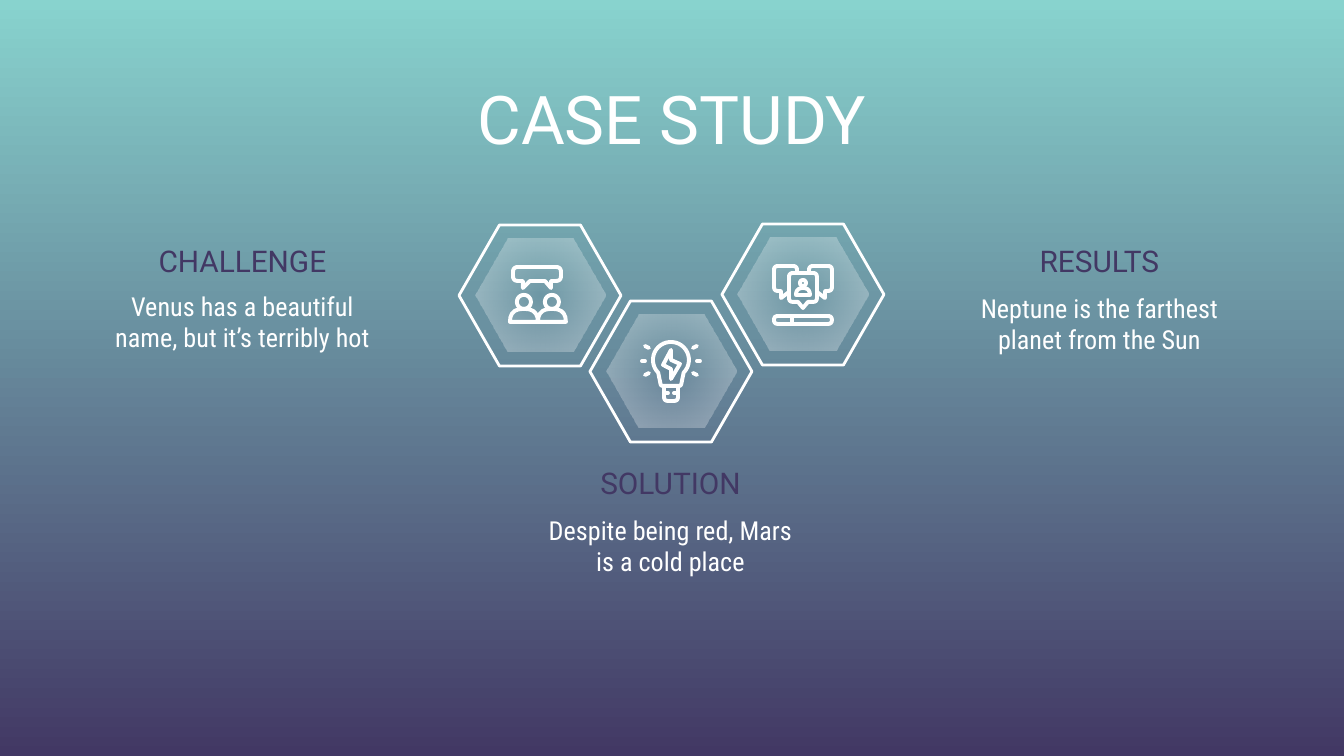
import math
from lxml import etree
from pptx import Presentation, util as u
from pptx.dml.color import RGBColor
from pptx.enum import shapes, text
from pptx.oxml.ns import qn

W, H = 1344, 756
SCALE = 9144000 / W
COLORS = {"teal": "88D3CE", "purple": "423864", "white": "FFFFFF"}
HEX_W, HEX_H = 162, 141


def px(n):
    return u.Emu(round(n * SCALE))


def rgb(name):
    return RGBColor.from_string(COLORS[name])


def stroke(sp, width):
    """White line with round caps and joins."""
    sp.line.color.rgb = rgb("white")
    sp.line.width = u.Pt(width)
    spPr = sp._element.spPr
    ln = spPr.find(qn("a:ln"))
    ln.set("cap", "rnd")
    etree.SubElement(ln, qn("a:round"))
    if spPr.find(qn("a:effectLst")) is None:
        etree.SubElement(spPr, qn("a:effectLst"))


def freeform(s, box, contours, close=True):
    """One shape made of one or more contours."""
    builder = None
    for points in contours:
        pts = [(px(a), px(b)) for a, b in points]
        if builder is None:
            builder = s.shapes.build_freeform(*pts[0], scale=1.0)
        else:
            builder.move_to(*pts[0])
        builder.add_line_segments(pts[1:], close=close)
    sp = builder.convert_to_shape(px(box[0]), px(box[1]))
    sp.shadow.inherit = False
    sp.fill.background()
    return sp


def rounded(corners):
    """Turn (x, y, radius) corners into points along the rounded path."""
    points = []
    for i, (x, y, r) in enumerate(corners):
        if not r:
            points.append((x, y))
            continue
        ends = []
        for nx, ny, _ in (corners[i - 1], corners[(i + 1) % len(corners)]):
            k = r / math.dist((x, y), (nx, ny))
            ends.append((x + k * (nx - x), y + k * (ny - y)))
        (ax, ay), (bx, by) = ends
        for t in (0, .2, .4, .6, .8, 1):
            a, m, b = (1 - t) ** 2, 2 * t * (1 - t), t * t
            points.append((a * ax + m * x + b * bx, a * ay + m * y + b * by))
    return points


def outline(s, box, *contours, close=True):
    stroke(freeform(s, box, [rounded(c) for c in contours], close), 2.1)


def dash(s, box, x1, y1, x2, y2):
    x, y = box
    ends = [px(n) for n in (x + x1, y + y1, x + x2, y + y2)]
    stroke(s.shapes.add_connector(shapes.MSO_CONNECTOR.STRAIGHT, *ends), 2.1)


def arc(cx, cy, r, start, stop):
    """Corners without rounding along a circle, in degrees."""
    return [(cx + r * math.cos(math.radians(a)),
             cy + r * math.sin(math.radians(a)), 0)
            for a in range(start, stop, 10)]


def person(cx, head_y, r, base, half, height):
    """Contours of the head and the shoulders."""
    left, right, top = cx - half, cx + half, base - height
    return [arc(cx, head_y, r, 0, 360),
            [(left, base, 0), (left, top, height),
             (right, top, height), (right, base, 0)]]


def people_icon(s, box):
    outline(s, box, *(c for cx in (65, 93)
                      for c in person(cx, 77, 7, 97, 14, 13)))
    # Speech bubble
    outline(s, box, [(54, 42, 5), (102, 42, 5), (102, 56, 5), (92, 56, 0),
                     (92, 63, 0), (86, 56, 0), (71, 56, 0), (64, 63, 0),
                     (64, 56, 0), (54, 56, 5)])


def bulb_icon(s, box):
    cx, cy, r = 81, 59, 18
    # Glass, socket and bolt
    outline(s, box, arc(cx, cy, r, 135, 406)
            + [(cx + 10, 85, 2), (cx - 10, 85, 2)])
    outline(s, box, [(cx - 7, 85, 0), (cx + 7, 85, 0),
                     (cx + 7, 100, 4), (cx - 7, 100, 4)])
    outline(s, box, [(81, 49, 0), (73, 64, 0), (81, 68, 0),
                     (81, 78, 0), (90, 63, 0), (81, 59, 0)])
    # Socket notches and rays, the same on both sides
    for side in (-1, 1):
        for d1, y1, d2, y2 in ((7, 92, 3, 92), (26, 60, 29, 60),
                               (22, 47, 26, 45), (22, 72, 26, 74)):
            dash(s, box, cx + side * d1, y1, cx + side * d2, y2)


def results_icon(s, box):
    outline(s, box, *person(81, 59, 3, 71, 7, 7))
    # Progress bar
    outline(s, box, [(52, 92, 4), (110, 92, 4), (110, 100, 4), (52, 100, 4)])
    dash(s, box, 70, 93, 70, 99)
    # Front bubble and the two behind it
    outline(s, box, [(67, 49, 4), (95, 49, 4), (95, 78, 4), (86, 78, 0),
                     (81, 84, 0), (76, 78, 0), (67, 78, 4)])
    back = [(75, 49, 0), (75, 42, 4), (52, 42, 4), (52, 67, 4),
            (59, 67, 1), (59, 74, 0), (67, 68, 0)]
    outline(s, box, back, close=False)
    outline(s, box, [(162 - x, y, r) for x, y, r in back], close=False)


def hexagon(s, x, y, w, h):
    return freeform(s, (x, y), [[(0, h / 2), (w / 4, 0), (w * 3 / 4, 0),
                                 (w, h / 2), (w * 3 / 4, h), (w / 4, h)]])


def badge(s, box, icon):
    """Hexagon outline, glowing inner hexagon and icon."""
    x, y = box
    stroke(hexagon(s, x, y, HEX_W, HEX_H), 1.5)
    sp = hexagon(s, x + 16, y + 14, HEX_W - 32, HEX_H - 28)
    sp.line.fill.background()
    sp.fill.gradient()
    for stop in sp.fill.gradient_stops:
        stop.color.rgb = rgb("white")
    grad = sp._element.spPr.find(qn("a:gradFill"))
    for clr, alpha in zip(grad.iter(qn("a:srgbClr")), (0, 39)):
        etree.SubElement(clr, qn("a:alpha"), val=str(alpha * 1000))
    path = etree.Element(qn("a:path"), {"path": "circle"})
    etree.SubElement(path, qn("a:fillToRect"),
                     {side: "50000" for side in "ltrb"})
    grad.replace(grad.find(qn("a:lin")), path)
    icon(s, box)


def label(s, box, words, size, font, color):
    tf = s.shapes.add_textbox(*(px(n) for n in box)).text_frame
    tf.word_wrap = True
    tf.vertical_anchor = text.MSO_ANCHOR.TOP
    tf.margin_left = tf.margin_right = u.Inches(.1)
    tf.margin_top = tf.margin_bottom = u.Inches(.1)
    p = tf.paragraphs[0]
    p.text = words
    p.alignment = text.PP_ALIGN.CENTER
    p.font.size, p.font.name = u.Pt(size), font
    p.font.color.rgb = rgb(color)


def topic(s, x, y, gap, heading, body):
    label(s, (x - 1, y + gap, 287, 89), body, 14, "Roboto Condensed", "white")
    label(s, (x, y, 285, 69), heading, 16, "Roboto", "purple")


def case_study(prs):
    s = prs.slides.add_slide(prs.slide_layouts[6])
    # Background
    fill = s.background.fill
    fill.gradient()
    fill.gradient_angle = 270
    for stop, name in zip(fill.gradient_stops, ("teal", "purple")):
        stop.color.rgb = rgb(name)
    # Title
    label(s, (67, 64, 1210, 98), "CASE STUDY", 36, "Roboto", "white")
    # Badges
    badge(s, (722, 224), results_icon)
    badge(s, (590, 301), bulb_icon)
    badge(s, (459, 225), people_icon)
    # Topics
    topic(s, 100, 229, 48, "CHALLENGE",
          "Venus has a beautiful name, but it’s terribly hot")
    topic(s, 528, 451, 50, "SOLUTION",
          "Despite being red, Mars is a cold place")
    topic(s, 957, 229, 50, "RESULTS",
          "Neptune is the farthest planet from the Sun")


def main():
    prs = Presentation()
    prs.slide_width, prs.slide_height = px(W), px(H)
    case_study(prs)
    prs.save("out.pptx")


if __name__ == "__main__":
    main()
